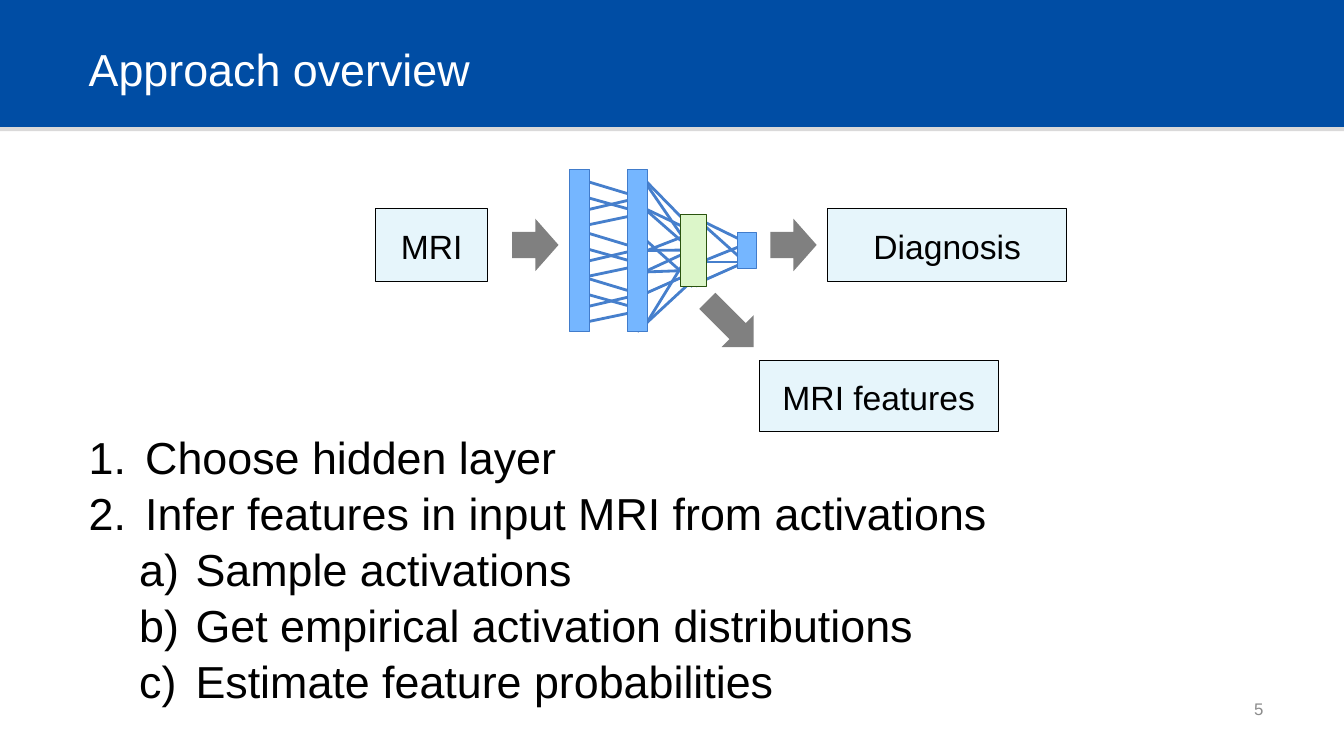
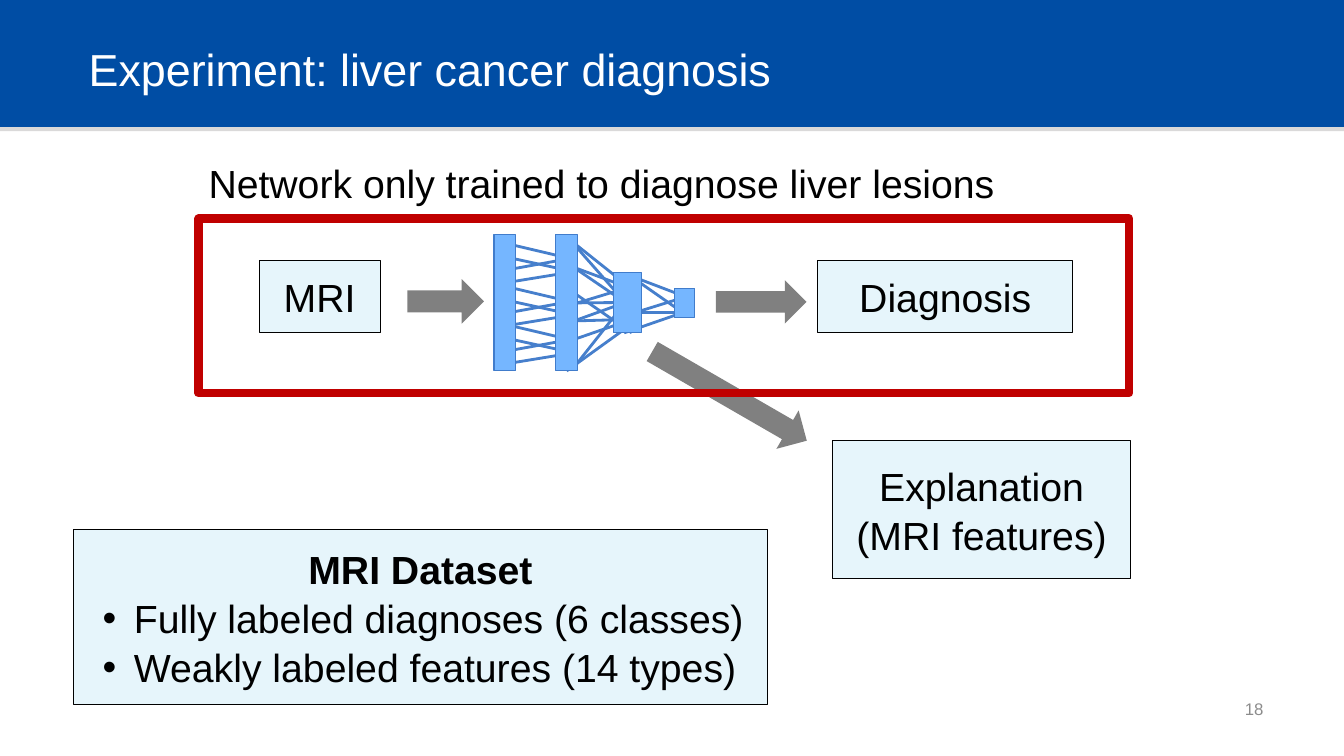
from lxml import etree
from pptx import Presentation
from pptx import util as u
from pptx.dml.color import RGBColor
from pptx.enum import shapes, text
from pptx.oxml import ns

PX = 9144  # 100 px to the inch
COLORS = {
    "band": "004DA4", "band_edge": "DAD9D9", "white": "FFFFFF", "ink": "000000",
    "box": "E6F5FB", "arrow": "808080", "link": "467FCC", "layer": "75B6FF",
    "layer_edge": "417CCB", "chosen": "DCF6C9", "chosen_edge": "2A530E",
    "frame": "C00000", "number": "8C8C8C",
}
LEFT, CENTER, RIGHT = text.PP_ALIGN.LEFT, text.PP_ALIGN.CENTER, text.PP_ALIGN.RIGHT
TOP, MIDDLE = text.MSO_ANCHOR.TOP, text.MSO_ANCHOR.MIDDLE

# Bullets: element, its attributes, left margin and hanging indent
STEP = ("buAutoNum", {"type": "arabicPeriod"}, 56, 56)
SUBSTEP = ("buAutoNum", {"type": "alphaLcParenR"}, 106, 56)
DOT = ("buChar", {"char": "•"}, 50, 31)

# Network in its own frame: layers are x, y, width, height; links are x1, y1, x2, y2
NET_WIDTH, NET_HEIGHT = 185, 161
LAYERS = [(0, 0, 20, 161), (57, 0, 20, 161), (110, 45, 26, 71), (166, 63, 19, 35)]
CHOSEN_LAYER = 2
HIDDEN_MIDDLE = (77, 81)
INPUT_LINKS = [(14, top + start, 57, top + end) for top in (11, 62, 107)
               for start, end in ((0, 13), (30, 20), (16, 28), (45, 36))]
HIDDEN_LINKS = [
    (67, 105, 121, 80), (75, 11, 121, 58), (70, 102, 125, 100), (67, 161, 121, 111),
    (77, 40, 121, 61), (77, 81, 122, 63), (73, 38, 121, 80), (73, 68, 127, 116),
    (77, 81, 121, 80), (71, 125, 125, 101), (76, 153, 121, 80), (77, 16, 121, 80),
]
OUTPUT_LINKS = [(120, 116, 174, 92), (131, 51, 174, 72), (130, 92, 175, 74),
                (126, 49, 174, 92), (130, 92, 174, 92)]


def px(length):
    return round(length * PX)


def rgb(name):
    return RGBColor.from_string(COLORS[name])


class Deck:
    def __init__(self):
        self.prs = Presentation()
        self.prs.slide_width, self.prs.slide_height = px(1333), px(750)
        self.slide = None

    def start(self, layout, heading, number):
        """New slide with heading and number; the first one sets up the master."""
        first = self.slide is None
        self.slide = self.prs.slides.add_slide(self.prs.slide_layouts[layout])
        if first:
            self.bands()
        self.fill_placeholder(self.slide.shapes.title, (78, 17, 1186, 100), [heading],
                              32, color="white", anchor=MIDDLE)
        self.label((963, 683, 300, 40), [str(number)], 12, color="number",
                   align=RIGHT, anchor=MIDDLE)

    def bands(self):
        tree = self.prs.slide_master.shapes.element
        for index, (area, fill) in enumerate([((0, 105, 1333, 25), "band_edge"),
                                              ((0, -1, 1333, 127), "band")]):
            tree.insert(2 + index, self.shape(area, fill).element)

    def set_text(self, holder, lines, size, color="ink", align=LEFT, anchor=TOP):
        """Each line is a string or a (string, options) pair."""
        frame = holder.text_frame
        for key, value in {"word_wrap": True, "auto_size": text.MSO_AUTO_SIZE.NONE,
                           "vertical_anchor": anchor}.items():
            setattr(frame, key, value)
        for index, line in enumerate(lines):
            words, options = (line, {}) if isinstance(line, str) else line
            paragraph = frame.add_paragraph() if index else frame.paragraphs[0]
            bullet = options.get("bullet")
            for key, value in {"alignment": LEFT if bullet else align,
                               "level": options.get("level", 0), "line_spacing": 1.04,
                               "space_before": u.Pt(0), "space_after": u.Pt(0)}.items():
                setattr(paragraph, key, value)
            if bullet:
                self.bullet(paragraph, *bullet)
            run = paragraph.add_run()
            run.text = words
            for key, value in {"name": "Arial", "size": u.Pt(size),
                               "bold": options.get("bold", False)}.items():
                setattr(run.font, key, value)
            run.font.color.rgb = rgb(color)

    def bullet(self, paragraph, tag, attributes, margin, hang):
        props = paragraph._p.get_or_add_pPr()
        props.set("marL", str(px(margin)))
        props.set("indent", str(px(-hang)))
        etree.SubElement(props, ns.qn("a:buFont"), typeface="Arial")
        etree.SubElement(props, ns.qn("a:" + tag), attributes)

    def fill_placeholder(self, holder, area, lines, size, **style):
        for key, value in zip(("left", "top", "width", "height"), area):
            setattr(holder, key, px(value))
        self.set_text(holder, lines, size, **style)

    def steps(self, area, lines, size):
        self.fill_placeholder(self.slide.placeholders[1], area, lines, size)

    def label(self, area, lines, size, **style):
        self.set_text(self.slide.shapes.add_textbox(*map(px, area)), lines, size, **style)

    def shape(self, area, fill=None, edge=None, weight=0.75,
              preset=shapes.MSO_SHAPE.RECTANGLE):
        item = self.slide.shapes.add_shape(preset, *map(px, area))
        item.shadow.inherit = False
        if fill:
            item.fill.solid()
            item.fill.fore_color.rgb = rgb(fill)
        else:
            item.fill.background()
        if edge:
            item.line.color.rgb = rgb(edge)
            item.line.width = u.Pt(weight)
        else:
            item.line.fill.background()
        return item

    def box(self, area, lines, size):
        self.set_text(self.shape(area, "box", "ink"), lines, size,
                      align=CENTER, anchor=MIDDLE)

    def arrow(self, area, rotation=0):
        self.shape(area, "arrow", preset=shapes.MSO_SHAPE.RIGHT_ARROW).rotation = rotation

    def link(self, ends):
        line = self.slide.shapes.add_connector(shapes.MSO_CONNECTOR.STRAIGHT,
                                               *map(px, ends))
        line.line.color.rgb = rgb("link")
        line.line.width = u.Pt(2)
        etree.SubElement(line.element.spPr, ns.qn("a:effectLst"))
        return line

    def network(self, left, top, width, height, highlight=False):
        x_scale, y_scale = width / NET_WIDTH, height / NET_HEIGHT
        # Links lie behind the layers
        from_middle = []
        for x1, y1, x2, y2 in OUTPUT_LINKS + HIDDEN_LINKS + INPUT_LINKS:
            link = self.link((left + x1 * x_scale, top + y1 * y_scale,
                              left + x2 * x_scale, top + y2 * y_scale))
            if (x1, y1) == HIDDEN_MIDDLE:
                from_middle.append(link)
        layers = []
        for index, (x, y, w, h) in enumerate(LAYERS):
            kind = "chosen" if highlight and index == CHOSEN_LAYER else "layer"
            layers.append(self.shape((left + x * x_scale, top + y * y_scale,
                                      w * x_scale, h * y_scale), kind, kind + "_edge"))
        for link in from_middle:
            link.begin_connect(layers[1], 3)


def approach(deck):
    deck.start(1, "Approach overview", 5)
    deck.steps((78, 419, 1138, 281), [
        ("Choose hidden layer", {"bullet": STEP}),
        ("Infer features in input MRI from activations", {"bullet": STEP}),
        *((words, {"bullet": SUBSTEP, "level": 1}) for words in (
            "Sample activations", "Get empirical activation distributions",
            "Estimate feature probabilities")),
    ], 32)
    # Pipeline
    for area, words in [((372, 207, 112, 72), "MRI"),
                        ((821, 207, 237, 72), "Diagnosis"),
                        ((753, 358, 237, 70), "MRI features")]:
        deck.box(area, [words], 24)
    for left in (508, 764):
        deck.arrow((left, 217, 46, 52))
    deck.arrow((692, 299, 65, 45), 45)
    deck.network(565, 168, 185, 161, highlight=True)


def experiment(deck):
    deck.start(5, "Experiment: liver cancer diagnosis", 18)
    deck.label((197, 151, 983, 52), ["Network only trained to diagnose liver lesions"], 28)
    # Pipeline
    for area, lines in [((257, 258, 120, 72), ["MRI"]),
                        ((811, 258, 253, 72), ["Diagnosis"]),
                        ((826, 437, 295, 137), ["Explanation", "(MRI features)"])]:
        deck.box(area, lines, 28)
    for area, rotation in [((404, 277, 76, 44), 0), ((710, 278, 90, 43), 0),
                           ((635, 371, 177, 44), 30)]:
        deck.arrow(area, rotation)
    deck.network(490, 233, 199, 135)
    # Data set and training frame
    deck.box((73, 525, 688, 174), [
        ("MRI Dataset", {"bold": True}),
        ("Fully labeled diagnoses (6 classes)", {"bullet": DOT}),
        ("Weakly labeled features (14 types)", {"bullet": DOT}),
    ], 28)
    deck.shape((197, 217, 923, 173), edge="frame", weight=6)


def main():
    deck = Deck()
    approach(deck)
    experiment(deck)
    deck.prs.save("out.pptx")


if __name__ == "__main__":
    main()
